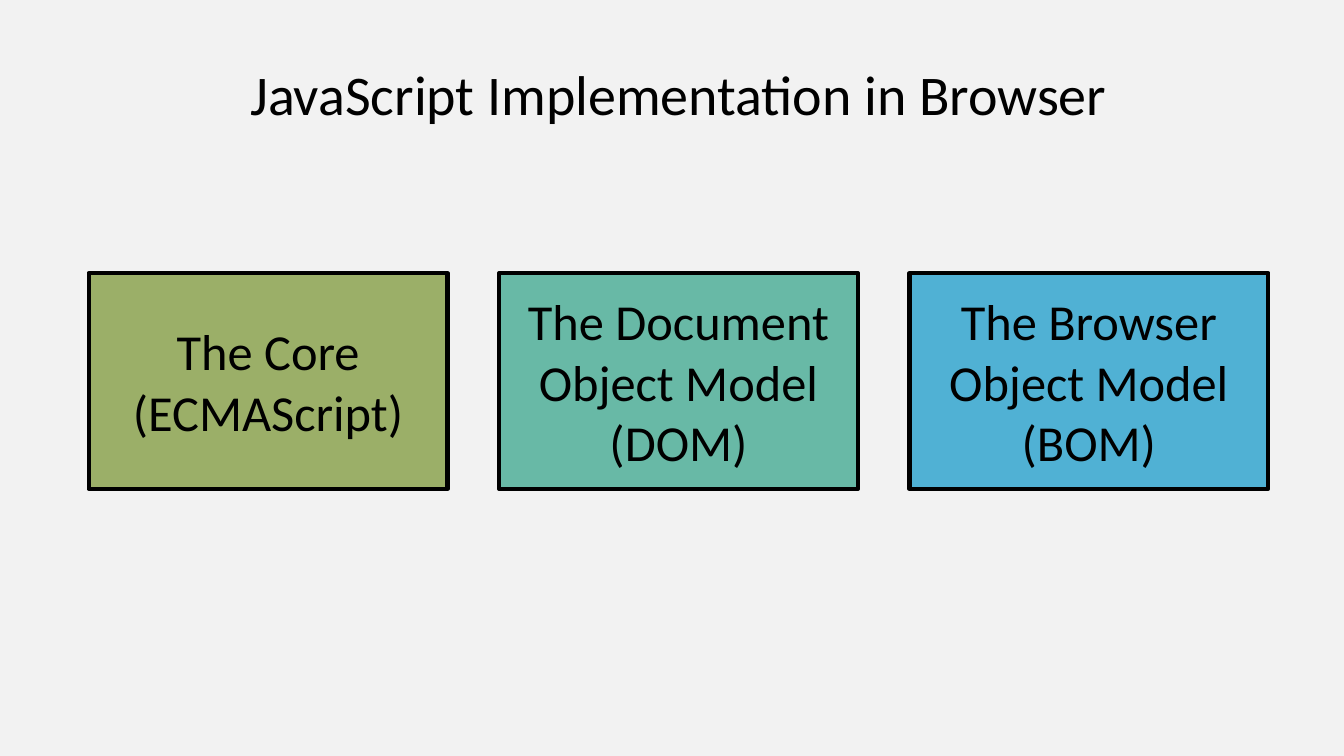
from dataclasses import dataclass

from pptx import Presentation
from pptx.dml.color import RGBColor
from pptx.enum.shapes import MSO_SHAPE
from pptx.enum.text import MSO_ANCHOR, MSO_AUTO_SIZE, PP_ALIGN
from pptx.util import Inches, Pt


@dataclass(frozen=True)
class Theme:
    font: str = "Calibri"
    background: str = "F2F2F2"
    ink: str = "000000"
    core: str = "9BAF68"
    document: str = "68B9A6"
    browser: str = "50B1D4"
    title_size: int = 40
    box_size: int = 36
    outline: int = 3


@dataclass(frozen=True)
class Grid:
    """Equal columns between the side margins, in inches."""
    left: float = 0.88
    width: float = 11.7
    gap: float = 0.51
    columns: int = 3

    @property
    def column_width(self):
        return (self.width - self.gap * (self.columns - 1)) / self.columns

    def column_left(self, column):
        return self.left + column * (self.column_width + self.gap)


class SlideBuilder:
    def __init__(self, deck, theme, grid):
        self.theme = theme
        self.grid = grid
        self.slide = deck.slides.add_slide(deck.slide_layouts[5])
        self.paint(self.slide.background.fill, theme.background)

    def paint(self, fill, color):
        fill.solid()
        fill.fore_color.rgb = RGBColor.from_string(color)

    def set_wording(self, shape, wording, size):
        frame = shape.text_frame
        frame.text = wording
        frame.word_wrap = True
        frame.auto_size = MSO_AUTO_SIZE.NONE
        frame.vertical_anchor = MSO_ANCHOR.MIDDLE
        paragraph = frame.paragraphs[0]
        paragraph.alignment = PP_ALIGN.CENTER
        paragraph.font.name = self.theme.font
        paragraph.font.size = Pt(size)
        paragraph.font.color.rgb = RGBColor.from_string(self.theme.ink)

    def title(self, wording, top, height):
        heading = self.slide.shapes.title
        heading.left, heading.top = Inches(self.grid.left), Inches(top)
        heading.width, heading.height = Inches(self.grid.width), Inches(height)
        self.set_wording(heading, wording, self.theme.title_size)

    def box(self, column, wording, color, top, height):
        box = self.slide.shapes.add_shape(
            MSO_SHAPE.RECTANGLE,
            Inches(self.grid.column_left(column)), Inches(top),
            Inches(self.grid.column_width), Inches(height))
        box.shadow.inherit = False
        self.paint(box.fill, color)
        self.paint(box.line.fill, self.theme.ink)
        box.line.width = Pt(self.theme.outline)
        self.set_wording(box, wording, self.theme.box_size)


def main():
    deck = Presentation()
    deck.slide_width, deck.slide_height = Inches(13.33), Inches(7.5)
    theme = Theme()
    builder = SlideBuilder(deck, theme, Grid())
    builder.title("JavaScript Implementation in Browser", top=0.39, height=1.06)
    parts = [
        ("The Core (ECMAScript)", theme.core),
        ("The Document Object Model (DOM)", theme.document),
        ("The Browser Object Model (BOM)", theme.browser),
    ]
    for column, (wording, color) in enumerate(parts):
        builder.box(column, wording, color, top=2.71, height=2.14)
    deck.save("out.pptx")


if __name__ == "__main__":
    main()
